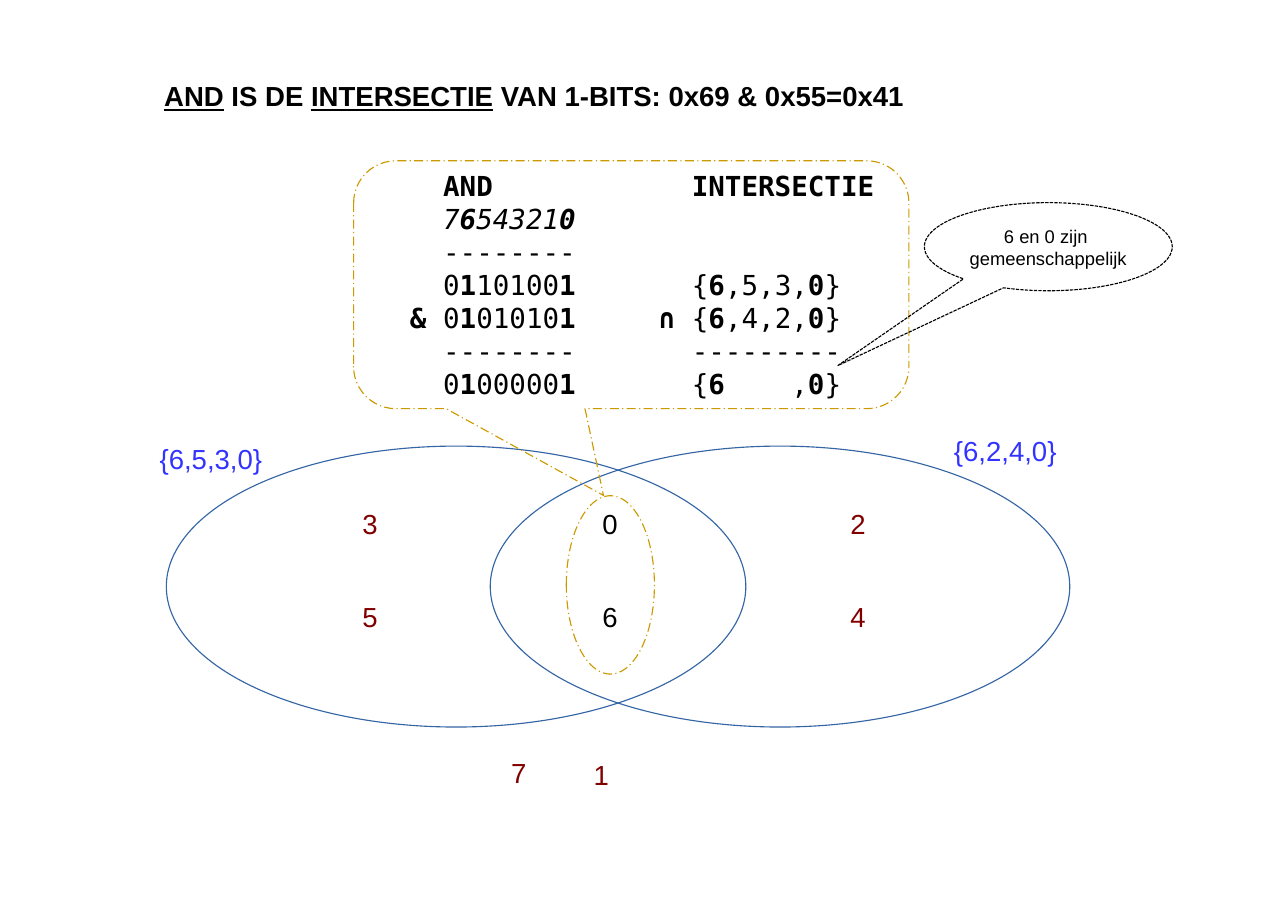
from pptx import Presentation
from pptx.dml.color import RGBColor as Rgb
from pptx.enum.dml import MSO_LINE as Dash
from pptx.enum.shapes import MSO_SHAPE as Kind
from pptx.enum.text import MSO_ANCHOR as Anchor, MSO_AUTO_SIZE as Fit, PP_ALIGN as Align
from pptx.util import Pt

HUES = {"ink": "000000", "set": "3465A4", "gold": "CC9900",
        "name": "3333FF", "bit": "800000"}
SANS, MONO = "Arial", "DejaVu Sans Mono"

# Stars switch bold on and off.
SUM = [
    "    *AND            INTERSECTIE*",
    "    7*6*54321*0*",
    "    --------",
    "    0*1*10100*1*       {*6*,5,3,*0*}",
    "  *& *0*1*01010*1     ∩ *{*6*,4,2,*0*}",
    "    --------       ---------",
    "    0*1*00000*1*       {*6*    ,*0*}",
]
LEFT, MID, RIGHT = 229.7, 386.6, 548.6
UPPER, LOWER = 327.6, 388.8
BITS = [
    ("3", LEFT, UPPER, "bit"), ("5", LEFT, LOWER, "bit"),
    ("0", MID, UPPER, "ink"), ("6", MID, LOWER, "ink"),
    ("2", RIGHT, UPPER, "bit"), ("4", RIGHT, LOWER, "bit"),
    ("7", 326.9, 490.3, "bit"), ("1", 380.9, 491.8, "bit"),
]


class Page:
    def __init__(self, slide):
        self.slide = slide

    def run(self, para, text, hue="ink", size=18, face=SANS, **style):
        run = para.add_run()
        run.text = text
        font = run.font
        font.name, font.size = face, Pt(size)
        font.color.rgb = Rgb.from_string(HUES[hue])
        for key, value in style.items():
            setattr(font, key, value)

    def title(self, text, *box):
        """Fill the title; underscores switch underline on and off."""
        shape = self.slide.shapes.title
        shape.left, shape.top, shape.width, shape.height = map(Pt, box)
        frame = shape.text_frame
        frame.auto_size, frame.vertical_anchor = Fit.NONE, Anchor.TOP
        para = frame.paragraphs[0]
        para.alignment = Align.LEFT
        for i, part in enumerate(text.split("_")):
            if part:
                self.run(para, part, bold=True, underline=i % 2 == 1)

    def label(self, text, hue, *box):
        frame = self.slide.shapes.add_textbox(*map(Pt, box)).text_frame
        frame.word_wrap = True
        self.run(frame.paragraphs[0], text, hue)

    def outline(self, kind, hue, *box, dash=None, adjust=()):
        shape = self.slide.shapes.add_shape(kind, *map(Pt, box))
        shape.shadow.inherit = False
        shape.fill.background()
        shape.line.color.rgb = Rgb.from_string(HUES[hue])
        shape.line.width = Pt(0)
        if dash:
            shape.line.dash_style = dash
        for i, value in enumerate(adjust):
            shape.adjustments[i] = value
        frame = shape.text_frame
        frame.word_wrap, frame.vertical_anchor = False, Anchor.MIDDLE
        return frame

    def code(self, frame, rows, slant):
        """Write monospaced rows, the one numbered slant in italics."""
        for n, row in enumerate(rows):
            para = frame.add_paragraph() if n else frame.paragraphs[0]
            para.alignment = Align.LEFT
            for i, part in enumerate(row.split("*")):
                if part:
                    self.run(para, part, face=MONO, bold=i % 2 == 1,
                             italic=n == slant)

    def note(self, frame, *lines):
        para = frame.paragraphs[0]
        para.alignment = Align.CENTER
        for n, line in enumerate(lines):
            if n:
                para.add_line_break()
            self.run(para, line, size=12)


def main():
    deck = Presentation()
    deck.slide_width, deck.slide_height = Pt(841.68), Pt(595.44)
    page = Page(deck.slides.add_slide(deck.slide_layouts[5]))

    page.title("_AND_ IS DE _INTERSECTIE_ VAN 1-BITS: 0x69 & 0x55=0x41",
               100.1, 48.2, 504, 47.5)
    for left in (108.7, 320.4):
        page.outline(Kind.OVAL, "set", left, 291.6, 378.7, 183.6)
    page.label("{6,5,3,0}", "name", 97.2, 285.1, 144.7, 42.5)
    page.label("{6,2,4,0}", "name", 616.3, 280.1, 144.7, 42.5)
    for text, left, top, hue in BITS:
        page.label(text, hue, left, top, 43.2, 41.8)

    page.outline(Kind.OVAL, "gold", 370.1, 324, 57.6, 116.6,
                 dash=Dash.LONG_DASH_DOT)
    box = page.outline(Kind.ROUNDED_RECTANGULAR_CALLOUT, "gold",
                       231.1, 105.1, 362.9, 162,
                       dash=Dash.LONG_DASH_DOT, adjust=(-0.05, 0.85, 0.17))
    page.code(box, SUM, slant=1)
    bubble = page.outline(Kind.OVAL_CALLOUT, "ink", 604.1, 132.5, 162, 57.6,
                          dash=Dash.SQUARE_DOT, adjust=(-0.85, 1.35))
    page.note(bubble, "6 en 0 zijn ", "gemeenschappelijk")
    deck.save("out.pptx")


if __name__ == "__main__":
    main()
